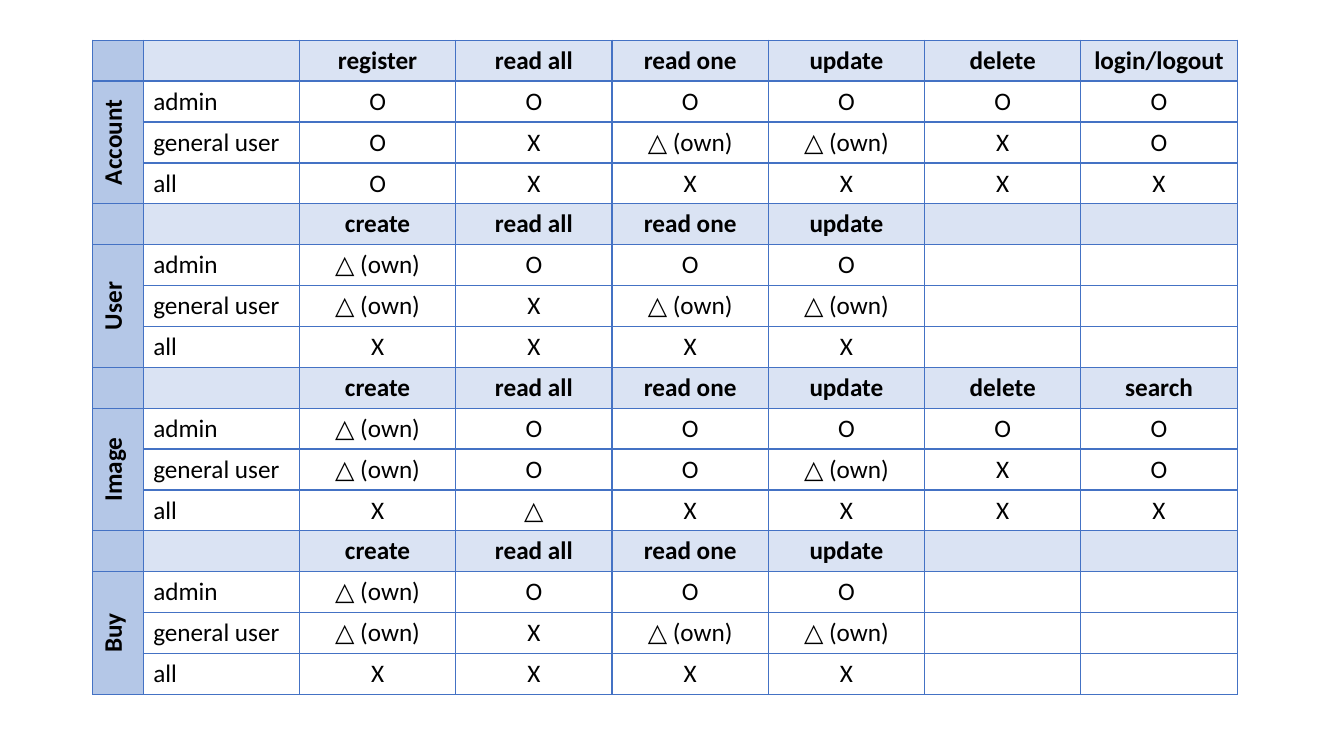
from lxml import etree
from pptx import Presentation, util as u
from pptx.dml.color import RGBColor
from pptx.enum import text
from pptx.oxml import ns

OWN = "△ (own)"
ROLES = ("admin", "general user", "all")
# Resource, its actions, then one row of permissions per role
RESOURCES = [
    ("Account", ["register", "read all", "read one", "update", "delete", "login/logout"],
     [["O", "O", "O", "O", "O", "O"],
      ["O", "X", OWN, OWN, "X", "O"],
      ["O", "X", "X", "X", "X", "X"]]),
    ("User", ["create", "read all", "read one", "update"],
     [[OWN, "O", "O", "O"],
      [OWN, "X", OWN, OWN],
      ["X", "X", "X", "X"]]),
    ("Image", ["create", "read all", "read one", "update", "delete", "search"],
     [[OWN, "O", "O", "O", "O", "O"],
      [OWN, "O", "O", OWN, "X", "O"],
      ["X", "△", "X", "X", "X", "X"]]),
    ("Buy", ["create", "read all", "read one", "update"],
     [[OWN, "O", "O", "O"],
      [OWN, "X", OWN, OWN],
      ["X", "X", "X", "X"]]),
]

BLACK = RGBColor(0x00, 0x00, 0x00)
BORDER = RGBColor(0x44, 0x72, 0xC4)
RESOURCE_FILL = RGBColor(0xB4, 0xC7, 0xE7)
ACTION_FILL = RGBColor(0xDA, 0xE3, 0xF3)

SLIDE_W, SLIDE_H = 13.33, 7.5
LEFT, TOP, WIDTH, HEIGHT = 0.92, 0.4, 11.35, 6.49
RESOURCE_W = 0.5
COLUMNS = 2 + max(len(actions) for _, actions, _ in RESOURCES)
BLOCK = 1 + len(ROLES)
ROWS = BLOCK * len(RESOURCES)
CENTER, START = text.PP_ALIGN.CENTER, text.PP_ALIGN.LEFT


def write(cell, words, bold=False, align=CENTER, vertical=False):
    """Put formatted words into a cell."""
    cell.vertical_anchor = text.MSO_ANCHOR.MIDDLE
    if vertical:
        cell._tc.get_or_add_tcPr().set("vert", "vert270")
    paragraph = cell.text_frame.paragraphs[0]
    paragraph.alignment = align
    run = paragraph.add_run()
    run.text = words
    run.font.name, run.font.size = "Calibri", u.Pt(18)
    run.font.bold, run.font.color.rgb = bold, BLACK


def style(cell, fill, bottom=1):
    """Give a cell its four borders and its fill, if any."""
    properties = cell._tc.get_or_add_tcPr()
    for side, points in (("L", 1), ("R", 1), ("T", 1), ("B", bottom)):
        line = etree.SubElement(properties, ns.qn(f"a:ln{side}"), w=str(u.Pt(points)))
        solid = etree.SubElement(line, ns.qn("a:solidFill"))
        etree.SubElement(solid, ns.qn("a:srgbClr"), val=str(BORDER))
    if fill is None:
        cell.fill.background()
    else:
        cell.fill.solid()
        cell.fill.fore_color.rgb = fill


def fill_for(row, column):
    """Pick the fill from the cell's place in its resource block."""
    if column == 0:
        return RESOURCE_FILL
    return ACTION_FILL if row % BLOCK == 0 else None


deck = Presentation()
deck.slide_width, deck.slide_height = u.Inches(SLIDE_W), u.Inches(SLIDE_H)
slide = deck.slides.add_slide(deck.slide_layouts[6])
permissions = slide.shapes.add_table(
    ROWS, COLUMNS, *(u.Inches(n) for n in (LEFT, TOP, WIDTH, HEIGHT))).table
permissions.first_row = permissions.horz_banding = False

for column, grid_column in enumerate(permissions.columns):
    share = (WIDTH - RESOURCE_W) / (COLUMNS - 1)
    grid_column.width = u.Inches(share if column else RESOURCE_W)
for row in range(ROWS):
    permissions.rows[row].height = u.Inches(HEIGHT / ROWS)
    for column in range(COLUMNS):
        style(permissions.cell(row, column), fill_for(row, column),
              bottom=1 if row else 2)

for block, (resource, actions, grants) in enumerate(RESOURCES):
    header = block * BLOCK
    label = permissions.cell(header + 1, 0)
    label.merge(permissions.cell(header + len(ROLES), 0))
    write(label, resource, bold=True, vertical=True)
    for column, action in enumerate(actions, 2):
        write(permissions.cell(header, column), action, bold=True)
    for row, (role, marks) in enumerate(zip(ROLES, grants), header + 1):
        write(permissions.cell(row, 1), role, align=START)
        for column, mark in enumerate(marks, 2):
            write(permissions.cell(row, column), mark)

deck.save("out.pptx")
